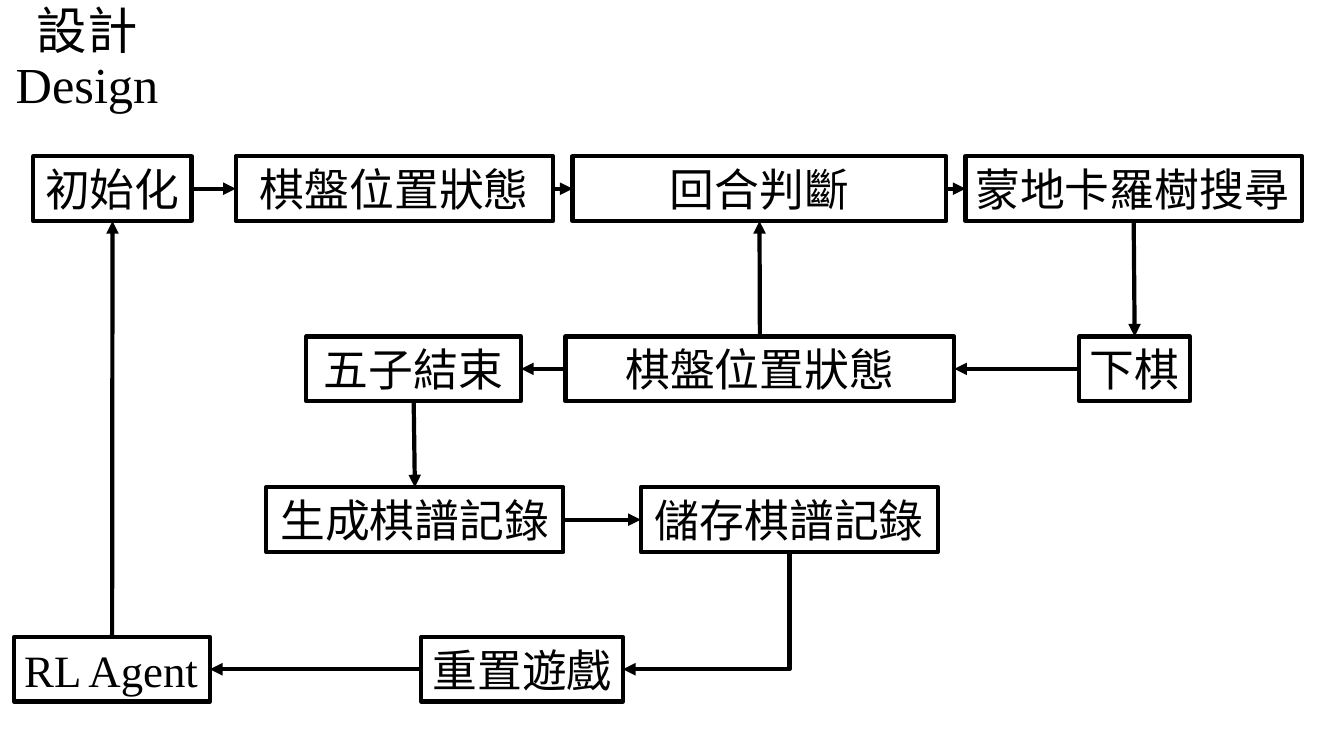
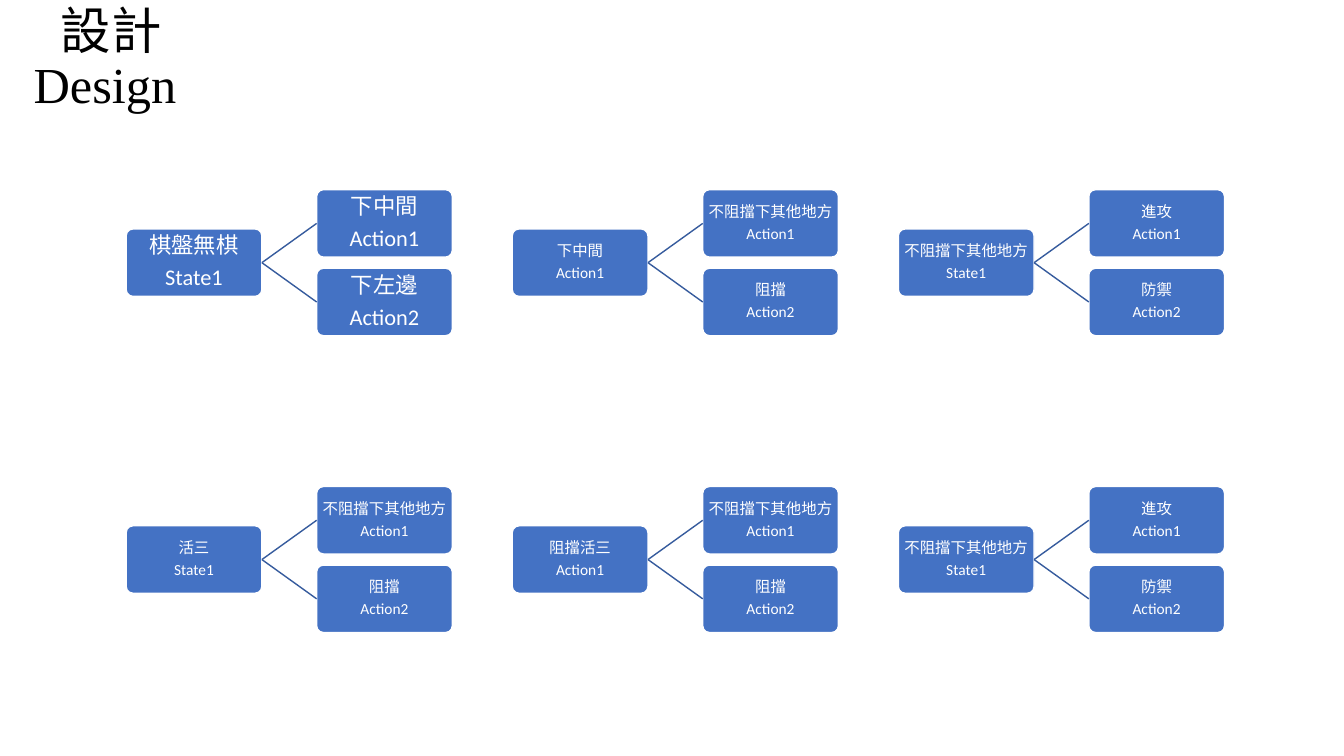
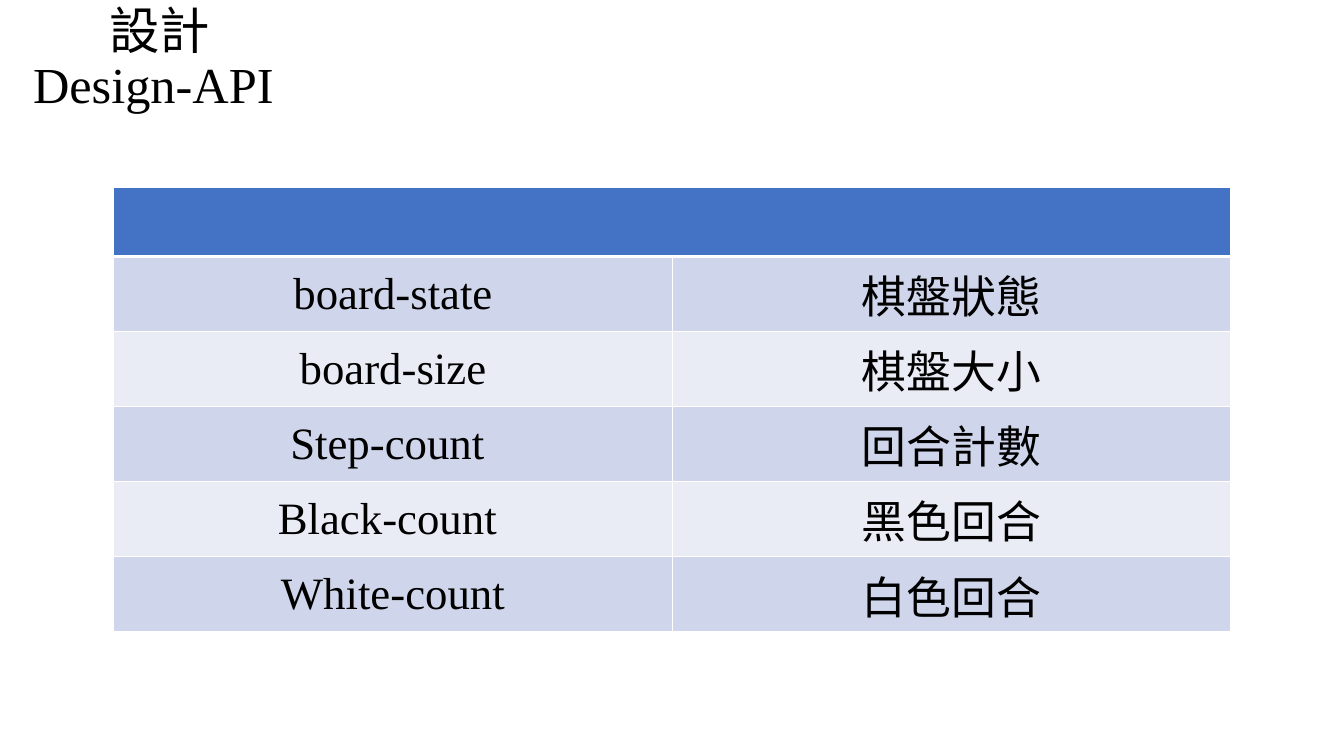
from dataclasses import dataclass

from lxml import etree
from pptx import Presentation
from pptx.dml.color import RGBColor
from pptx.enum.shapes import MSO_CONNECTOR, MSO_SHAPE
from pptx.enum.text import MSO_ANCHOR, MSO_AUTO_SIZE, PP_ALIGN
from pptx.oxml.ns import qn
from pptx.util import Cm, Pt

STRAIGHT, ELBOW = MSO_CONNECTOR.STRAIGHT, MSO_CONNECTOR.ELBOW
RECTANGLE, ROUNDED = MSO_SHAPE.RECTANGLE, MSO_SHAPE.ROUNDED_RECTANGLE
CENTER, LEFT = PP_ALIGN.CENTER, PP_ALIGN.LEFT
MIDDLE = MSO_ANCHOR.MIDDLE
NO_AUTOSIZE = MSO_AUTO_SIZE.NONE
TOP_SIDE, LEFT_SIDE, BOTTOM_SIDE, RIGHT_SIDE = range(4)

COLORS = {
    "ink": "000000",
    "paper": "FFFFFF",
    "accent": "4472C4",
    "link": "365B9D",
    "odd_row": "CFD5EA",
    "even_row": "E9EBF5",
}
SERIF, SANS, HAN = "Times New Roman", "Calibri", "Noto Sans CJK SC"


@dataclass(frozen=True)
class TextStyle:
    size: float
    font: str
    color: str = "ink"
    align: PP_ALIGN = CENTER
    line_spacing: float = 1.0
    space_after: float = 0


@dataclass(frozen=True)
class Step:
    key: str
    text: str
    left: float
    top: float
    width: float
    font: str = HAN
    align: PP_ALIGN = CENTER


@dataclass(frozen=True)
class Arrow:
    start: str
    start_side: int
    end: str
    end_side: int


@dataclass(frozen=True)
class Tree:
    state: tuple[str, str]
    choices: tuple[str, str]
    size: float = 11


TITLE_STYLE = TextStyle(36, SERIF, line_spacing=0.9)
TITLE_HEIGHT = 3.02

ROW_TOPS = (3.94, 8.48, 12.28, 16.05)
STEP_HEIGHT = 1.63
STEPS = (
    Step("start", "初始化", 0.84, ROW_TOPS[0], 3.99),
    Step("board", "棋盤位置狀態", 5.94, ROW_TOPS[0], 8),
    Step("turn", "回合判斷", 14.43, ROW_TOPS[0], 9.42),
    Step("search", "蒙地卡羅樹搜尋", 24.33, ROW_TOPS[0], 8.48, align=LEFT),
    Step("finish", "五子結束", 7.72, ROW_TOPS[1], 5.41),
    Step("updated", "棋盤位置狀態", 14.25, ROW_TOPS[1], 9.8),
    Step("move", "下棋", 27.2, ROW_TOPS[1], 2.79),
    Step("record", "生成棋譜記錄", 6.71, ROW_TOPS[2], 7.49),
    Step("save", "儲存棋譜記錄", 16.15, ROW_TOPS[2], 7.49),
    Step("agent", "RL Agent", 0.36, ROW_TOPS[3], 4.93, SERIF, LEFT),
    Step("reset", "重置遊戲", 10.62, ROW_TOPS[3], 5.08),
)
ARROWS = (
    Arrow("start", RIGHT_SIDE, "board", LEFT_SIDE),
    Arrow("board", RIGHT_SIDE, "turn", LEFT_SIDE),
    Arrow("turn", RIGHT_SIDE, "search", LEFT_SIDE),
    Arrow("search", BOTTOM_SIDE, "move", TOP_SIDE),
    Arrow("move", LEFT_SIDE, "updated", RIGHT_SIDE),
    Arrow("updated", TOP_SIDE, "turn", BOTTOM_SIDE),
    Arrow("updated", LEFT_SIDE, "finish", RIGHT_SIDE),
    Arrow("finish", BOTTOM_SIDE, "record", TOP_SIDE),
    Arrow("record", RIGHT_SIDE, "save", LEFT_SIDE),
    Arrow("reset", LEFT_SIDE, "agent", RIGHT_SIDE),
    Arrow("agent", TOP_SIDE, "start", BOTTOM_SIDE),
)

ELSEWHERE, BLOCK = "不阻擋下其他地方", "阻擋"
ATTACK_OR_DEFEND = Tree((ELSEWHERE, "State1"), ("進攻", "防禦"))
TREES = (
    Tree(("棋盤無棋", "State1"), ("下中間", "下左邊"), 16),
    Tree(("下中間", "Action1"), (ELSEWHERE, BLOCK)),
    ATTACK_OR_DEFEND,
    Tree(("活三", "State1"), (ELSEWHERE, BLOCK)),
    Tree(("阻擋活三", "Action1"), (ELSEWHERE, BLOCK)),
    ATTACK_OR_DEFEND,
)
TREE_COLUMNS = 3
TREE_LEFT, TREE_TOP = 3.18, 5.77
TREE_STEP_X, TREE_STEP_Y = 9.73, 7.48
NODE_WIDTH, NODE_HEIGHT = 3.42, 1.7
CHOICE_SHIFT_X, CHOICE_SHIFT_Y = 4.8, 0.99

API_ROWS = (
    ("board-state", "棋盤狀態"),
    ("board-size", "棋盤大小"),
    ("Step-count ", "回合計數"),
    ("Black-count ", "黑色回合"),
    ("White-count", "白色回合"),
)
API_LEFT, API_TOP, API_COLUMN, API_ROW = 2.87, 4.72, 14.07, 1.74


def rgb(name: str) -> RGBColor:
    return RGBColor.from_string(COLORS[name])


def set_all(target, values: dict) -> None:
    for name, value in values.items():
        setattr(target, name, value)


def write(frame, lines: tuple[str, ...], style: TextStyle) -> None:
    for index, line in enumerate(lines):
        para = frame.add_paragraph() if index else frame.paragraphs[0]
        para.text = line
        set_all(para, {
            "alignment": style.align,
            "line_spacing": style.line_spacing,
            "space_before": Pt(0),
            "space_after": Pt(style.space_after),
        })
        for span in para.runs:
            set_all(span.font, {"size": Pt(style.size), "name": style.font, "bold": False})
            span.font.color.rgb = rgb(style.color)
            latin = span.font._element.find(qn("a:latin"))
            latin.addnext(latin.makeelement(qn("a:ea"), {"typeface": HAN}))


def add_page(deck, title: str, width: float):
    page = deck.slides.add_slide(deck.slide_layouts[5])
    box = page.shapes.title
    set_all(box, {"left": 0, "top": 0, "width": Cm(width), "height": Cm(TITLE_HEIGHT)})
    set_all(box.text_frame, {
        "word_wrap": True, "auto_size": NO_AUTOSIZE, "vertical_anchor": MIDDLE,
    })
    write(box.text_frame, (title,), TITLE_STYLE)
    return page


def add_box(page, kind: MSO_SHAPE, left: float, top: float, width: float, height: float,
            line: str, weight: float, fill: str = ""):
    box = page.shapes.add_shape(kind, Cm(left), Cm(top), Cm(width), Cm(height))
    box.shadow.inherit = False
    if fill:
        box.fill.solid()
        box.fill.fore_color.rgb = rgb(fill)
    else:
        box.fill.background()
    box.line.color.rgb = rgb(line)
    box.line.width = Pt(weight)
    set_all(box.text_frame, {"auto_size": NO_AUTOSIZE, "vertical_anchor": MIDDLE})
    return box


def connect(page, start, start_side: int, end, end_side: int, color: str, weight: float,
            kind: MSO_CONNECTOR = STRAIGHT, arrow: str = ""):
    link = page.shapes.add_connector(kind, 0, 0, 0, 0)
    link.begin_connect(start, start_side)
    link.end_connect(end, end_side)
    link.line.color.rgb = rgb(color)
    link.line.width = Pt(weight)
    properties = link.element.spPr
    if arrow:
        outline = properties.find(qn("a:ln"))
        etree.SubElement(outline, qn(f"a:{arrow}"), type="triangle")
    etree.SubElement(properties, qn("a:effectLst"))
    return link


def draw_flow(deck) -> None:
    page = add_page(deck, "設計\vDesign ", 4.39)
    boxes = {}
    for step in STEPS:
        box = add_box(page, RECTANGLE, step.left, step.top, step.width, STEP_HEIGHT, "ink", 3)
        box.text_frame.word_wrap = False
        write(box.text_frame, (step.text,), TextStyle(32, step.font, align=step.align))
        boxes[step.key] = box
    for arrow in ARROWS:
        connect(page, boxes[arrow.start], arrow.start_side, boxes[arrow.end], arrow.end_side,
                "ink", 3, arrow="tailEnd")
    corner = connect(page, boxes["reset"], RIGHT_SIDE, boxes["save"], BOTTOM_SIDE,
                     "ink", 3, ELBOW, "headEnd")
    corner.element.spPr.find(qn("a:prstGeom")).set("prst", "bentConnector2")


def add_node(page, left: float, top: float, lines: tuple[str, str], size: float):
    node = add_box(page, ROUNDED, left, top, NODE_WIDTH, NODE_HEIGHT, "paper", 1, "accent")
    node.adjustments[0] = 0.1
    margins = ("margin_left", "margin_top", "margin_right", "margin_bottom")
    set_all(node.text_frame, {"word_wrap": True} | dict.fromkeys(margins, Cm(0.03)))
    write(node.text_frame, lines,
          TextStyle(size, SANS, "paper", line_spacing=0.9, space_after=0.35 * size))
    return node


def draw_trees(deck) -> None:
    page = add_page(deck, "設計\vDesign ", 5.61)
    for index, tree in enumerate(TREES):
        row, column = divmod(index, TREE_COLUMNS)
        left = TREE_LEFT + column * TREE_STEP_X
        top = TREE_TOP + row * TREE_STEP_Y
        state = add_node(page, left, top, tree.state, tree.size)
        for number, choice in enumerate(tree.choices, 1):
            shift = (2 * number - 3) * CHOICE_SHIFT_Y
            action = add_node(page, left + CHOICE_SHIFT_X, top + shift,
                              (choice, f"Action{number}"), tree.size)
            connect(page, state, RIGHT_SIDE, action, LEFT_SIDE, "link", 1)


def format_cell(cell, fill: str, top: float = 1, bottom: float = 1) -> None:
    properties = cell._tc.get_or_add_tcPr()
    for side, weight in (("L", 1), ("R", 1), ("T", top), ("B", bottom)):
        border = etree.SubElement(properties, qn(f"a:ln{side}"), w=str(Pt(weight)))
        paint = etree.SubElement(border, qn("a:solidFill"))
        etree.SubElement(paint, qn("a:srgbClr"), val=COLORS["paper"])
    cell.fill.solid()
    cell.fill.fore_color.rgb = rgb(fill)
    cell.vertical_anchor = MIDDLE


def draw_api(deck) -> None:
    page = add_page(deck, "設計\vDesign-API ", 8.05)
    count = len(API_ROWS) + 1
    table = page.shapes.add_table(count, 2, Cm(API_LEFT), Cm(API_TOP),
                                  Cm(2 * API_COLUMN), Cm(count * API_ROW)).table
    table.cell(0, 0).merge(table.cell(0, 1))
    for column in range(2):
        format_cell(table.cell(0, column), "accent", bottom=3)
    for row, texts in enumerate(API_ROWS, 1):
        for column, (text, font) in enumerate(zip(texts, (SERIF, SANS))):
            cell = table.cell(row, column)
            format_cell(cell, "odd_row" if row % 2 else "even_row", top=3 if row == 1 else 1)
            write(cell.text_frame, (text,), TextStyle(32, font))


def main() -> None:
    deck = Presentation()
    set_all(deck, {"slide_width": Cm(33.87), "slide_height": Cm(19.05)})
    for draw in (draw_flow, draw_trees, draw_api):
        draw(deck)
    deck.save("out.pptx")


if __name__ == "__main__":
    main()
